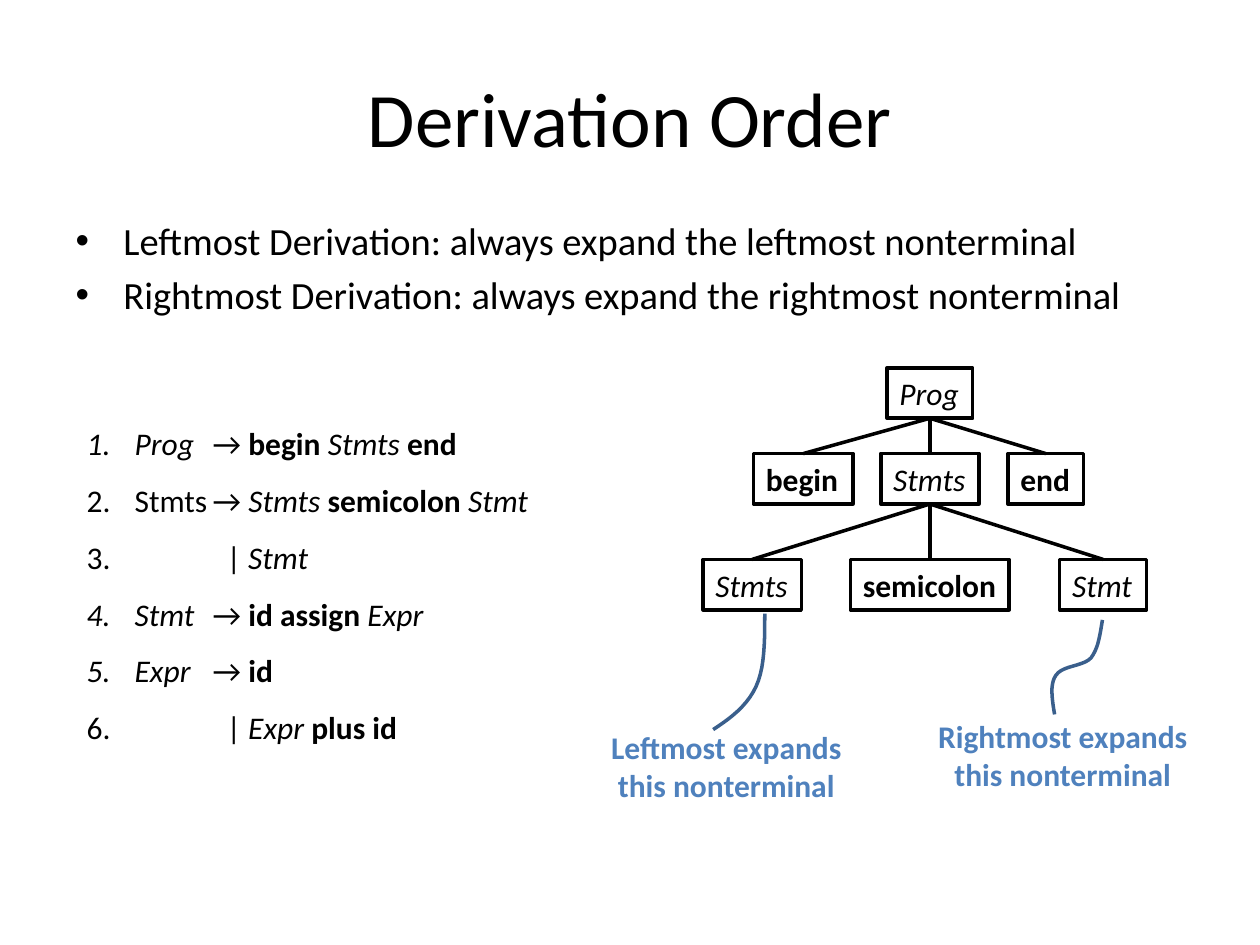
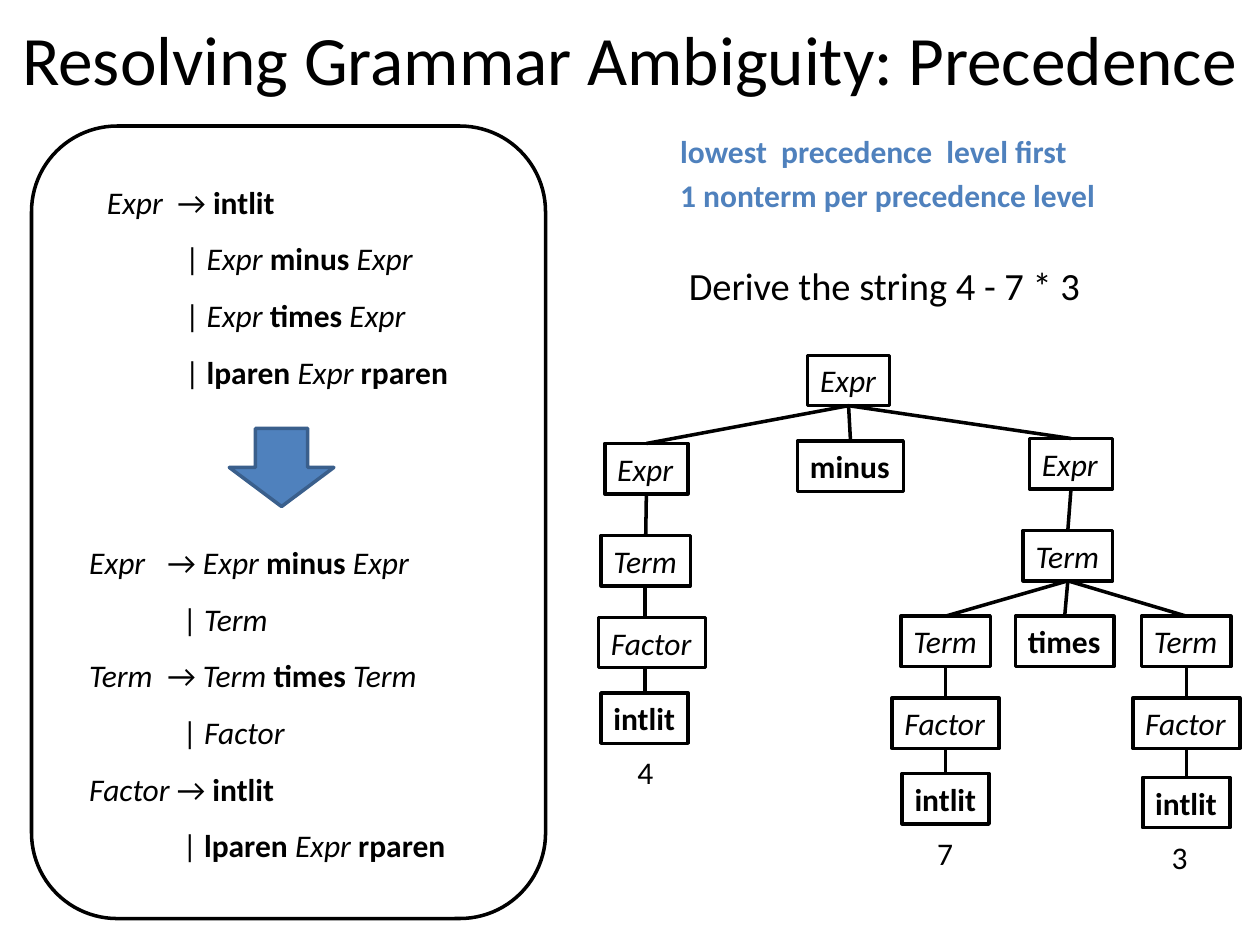
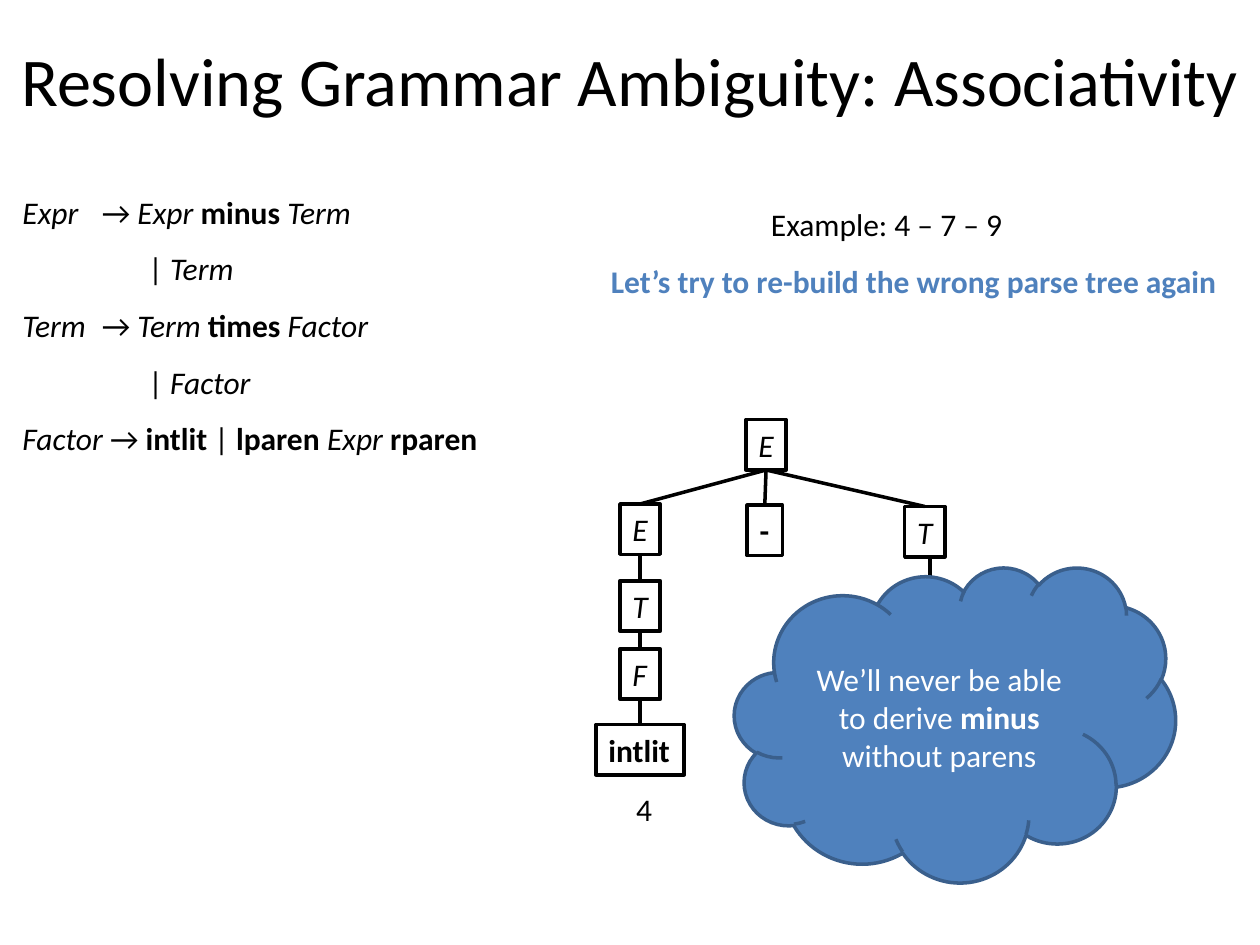
from lxml.etree import SubElement
from pptx import Presentation
from pptx.dml.color import RGBColor
from pptx.enum.shapes import MSO_CONNECTOR as CONN, MSO_SHAPE as SHAPE
from pptx.enum.text import MSO_ANCHOR as ANCHOR, MSO_AUTO_SIZE as FIT, PP_ALIGN as ALIGN
from pptx.oxml.ns import qn
from pptx.util import Inches, Pt

FONT = "Calibri"
BLACK, WHITE, BLUE, NAVY = "000000", "FFFFFF", "4F81BD", "3A5F8C"
NODE_H = 0.4
LINE_W = 2

ORDER_POINTS = [
    ["Leftmost Derivation: always expand the leftmost nonterminal"],
    ["Rightmost Derivation: always expand the rightmost nonterminal"],
]
ORDER_GRAMMAR = [
    [("Prog", "i"), "\t→ ", ("begin ", "b"), ("Stmts ", "i"), ("end", "b")],
    ["Stmts\t→ ", ("Stmts ", "i"), ("semicolon ", "b"), ("Stmt", "i")],
    ["| ", ("Stmt", "i")],
    [("Stmt", "i"), "\t→ ", ("id assign ", "b"), ("Expr", "i")],
    [("Expr", "i"), "\t→ ", ("id", "b")],
    ["| ", ("Expr ", "i"), ("plus id", "b")],
]
ORDER_NODES = {
    "prog": ("Prog", "i", 7.04, 2.92, 0.68),
    "begin": ("begin", "b", 5.98, 3.6, 0.79),
    "stmts": ("Stmts", "i", 6.99, 3.6, 0.78),
    "end": ("end", "b", 8, 3.6, 0.6),
    "left stmts": ("Stmts", "i", 5.58, 4.44, 0.78),
    "semicolon": ("semicolon", "b", 6.75, 4.44, 1.26),
    "right stmt": ("Stmt", "i", 8.41, 4.44, 0.69),
}
ORDER_EDGES = {"prog": ["begin", "stmts", "end"],
               "stmts": ["left stmts", "semicolon", "right stmt"]}
ORDER_NOTES = [
    ("Leftmost expands", (4.71, 5.73, 2.11, 0.71),
     [(5.66, 5.79), (5.8, 5.7), (5.93, 5.6), (6, 5.45),
      (6.07, 5.3), (6.07, 5.09), (6.07, 4.87)]),
    ("Rightmost expands", (7.31, 5.64, 2.25, 0.71),
     [(8.37, 5.67), (8.35, 5.55), (8.33, 5.43), (8.38, 5.36), (8.43, 5.28),
      (8.6, 5.29), (8.66, 5.22), (8.72, 5.14), (8.73, 5.03), (8.75, 4.92)]),
]

AMBIGUOUS_GRAMMAR = [
    [("Expr", "i"), "\t→ ", ("intlit", "b")],
    ["| ", ("Expr ", "i"), ("minus ", "b"), ("Expr", "i")],
    ["| ", ("Expr ", "i"), ("times ", "b"), ("Expr", "i")],
    ["| ", ("lparen ", "b"), ("Expr ", "i"), ("rparen", "b")],
]
LEVEL_GRAMMAR = [
    [("Expr", "i"), "\t→ ", ("Expr", "i"), (" minus ", "b"), ("Expr", "i")],
    ["| ", ("Term", "i")],
    [("Term", "i"), "\t→ ", ("Term ", "i"), ("times ", "b"), ("Term", "i")],
    ["| ", ("Factor", "i")],
    [("Factor ", "i"), "→ ", ("intlit", "b")],
    ["| ", ("lparen ", "b"), ("Expr ", "i"), ("rparen", "b")],
]
LEVEL_NOTES = [["lowest  precedence  level first"], ["1 nonterm per precedence level"]]
LEVEL_NODES = {
    "root": ("Expr", "i", 6.41, 2.82, 0.65),
    "left expr": ("Expr", "i", 4.8, 3.52, 0.66),
    "minus": ("minus", "b", 6.33, 3.5, 0.84),
    "right expr": ("Expr", "i", 8.17, 3.48, 0.66),
    "term 4": ("Term", "i", 4.77, 4.25, 0.71),
    "factor 4": ("Factor", "i", 4.75, 4.9, 0.85),
    "intlit 4": ("intlit", "b", 4.77, 5.5, 0.69),
    "product": ("Term", "i", 8.12, 4.21, 0.71),
    "term 7": ("Term", "i", 7.15, 4.89, 0.71),
    "times": ("times", "b", 8.06, 4.89, 0.78),
    "term 3": ("Term", "i", 9.06, 4.89, 0.71),
    "factor 7": ("Factor", "i", 7.08, 5.54, 0.85),
    "factor 3": ("Factor", "i", 8.99, 5.54, 0.85),
    "intlit 7": ("intlit", "b", 7.16, 6.14, 0.69),
    "intlit 3": ("intlit", "b", 9.07, 6.17, 0.69),
}
LEVEL_EDGES = {
    "root": ["left expr", "minus", "right expr"],
    "left expr": ["term 4"], "right expr": ["product"],
    "product": ["term 7", "times", "term 3"],
    "term 7": ["factor 7"], "factor 7": ["intlit 7"],
    "term 3": ["factor 3"], "factor 3": ["intlit 3"],
}
LEVEL_STEMS = [(5.12, 4.65, 4.9), (5.12, 5.3, 5.5)]
LEVEL_VALUES = [("4", 4.96, 5.93), ("7", 7.34, 6.57), ("3", 9.2, 6.6)]

ASSOC_GRAMMAR = [
    [("Expr", "i"), "\t→ ", ("Expr", "i"), (" minus ", "b"), ("Term", "i")],
    ["| ", ("Term", "i")],
    [("Term", "i"), "\t→ ", ("Term ", "i"), ("times ", "b"), ("Factor", "i")],
    ["| ", ("Factor", "i")],
    [("Factor ", "i"), "→ ", ("intlit ", "b"), "| ", ("lparen ", "b"),
     ("Expr ", "i"), ("rparen", "b")],
]
ASSOC_NODES = {
    "root": ("E", "i", 5.92, 3.33, 0.32),
    "left e": ("E", "i", 4.92, 4, 0.32),
    "minus": ("-", "b", 5.93, 4.01, 0.28),
    "right t": ("T", "i", 7.18, 4.02, 0.32),
    "left t": ("T", "i", 4.92, 4.61, 0.32),
    "left f": ("F", "i", 4.92, 5.15, 0.32),
    "intlit": ("intlit", "b", 4.73, 5.75, 0.7),
}
ASSOC_EDGES = {"root": ["left e", "minus", "right t"], "left e": ["left t"],
               "left t": ["left f"], "left f": ["intlit"]}
CLOUD_TEXT = [["We’ll never be able to derive ", ("minus", "b")], ["without parens"]]


def rgb(color):
    return RGBColor.from_string(color)


def inches(values):
    return [Inches(v) for v in values]


def write(tf, paras, size=18, color=BLACK, align=ALIGN.LEFT, style=""):
    """Fill a text frame; a run is a string or a (text, style) pair."""
    for n, runs in enumerate(paras):
        p = tf.paragraphs[0] if n == 0 else tf.add_paragraph()
        p.alignment = align
        for run in runs:
            text, mark = (run, style) if isinstance(run, str) else run
            r = p.add_run()
            r.text = text
            r.font.name, r.font.size = FONT, Pt(size)
            r.font.bold, r.font.italic = "b" in mark, "i" in mark
            r.font.color.rgb = rgb(color)


def indent(p, left, hanging=0):
    pPr = p._p.get_or_add_pPr()
    pPr.set("marL", str(Inches(left)))
    pPr.set("indent", str(-Inches(hanging)))
    return pPr


def new_slide(prs, layout, title, top, size, left=0):
    s = prs.slides.add_slide(prs.slide_layouts[layout])
    sp = s.shapes.title
    sp.left, sp.top, sp.width, sp.height = inches((left, top, 10 - 2 * left, 1.25))
    sp.text_frame.vertical_anchor = ANCHOR.MIDDLE
    write(sp.text_frame, [[title]], size, align=ALIGN.CENTER)
    return s


def add_text(s, box, paras, wrap=False, **style):
    tf = s.shapes.add_textbox(*inches(box)).text_frame
    tf.word_wrap = wrap
    write(tf, paras, **style)
    return tf


def add_grammar(s, box, rows, bar, arrow=None):
    """List productions with arrows at a hanging indent, or numbered without one."""
    tf = add_text(s, box, rows, wrap=True)
    for p, runs in zip(tf.paragraphs, rows):
        p.line_spacing = 1.5
        is_bar = runs[0] == "| "
        left = bar if is_bar else arrow or 0.38
        pPr = indent(p, left, 0 if is_bar and arrow else left)
        if not arrow:
            SubElement(pPr, qn("a:buAutoNum"), type="arabicPeriod")
        elif not is_bar:
            tabs = SubElement(pPr, qn("a:tabLst"))
            SubElement(tabs, qn("a:tab"), pos=str(Inches(arrow)), algn="l")


def paint(sp, fill, line):
    sp.shadow.inherit = False
    if fill:
        sp.fill.solid()
        sp.fill.fore_color.rgb = rgb(fill)
    else:
        sp.fill.background()
    sp.line.color.rgb = rgb(line)
    sp.line.width = Pt(LINE_W)


def add_shape(s, kind, box, fill=WHITE, line=BLACK):
    sp = s.shapes.add_shape(kind, *inches(box))
    paint(sp, fill, line)
    return sp


def add_line(s, x1=0, y1=0, x2=0, y2=0):
    c = s.shapes.add_connector(CONN.STRAIGHT, *inches((x1, y1, x2, y2)))
    c.line.color.rgb = rgb(BLACK)
    c.line.width = Pt(LINE_W)
    SubElement(c._element.spPr, qn("a:effectLst"))
    return c


def add_tree(s, nodes, edges):
    """Draw the boxes of a parse tree and join parents to children."""
    boxes = {}
    for key, (text, style, left, top, width) in nodes.items():
        sp = boxes[key] = add_shape(s, SHAPE.RECTANGLE, (left, top, width, NODE_H))
        tf = sp.text_frame
        tf.word_wrap, tf.auto_size = False, FIT.SHAPE_TO_FIT_TEXT
        tf.vertical_anchor = ANCHOR.TOP
        write(tf, [[text]], style=style)
    for parent, children in edges.items():
        for child in children:
            c = add_line(s)
            c.begin_connect(boxes[parent], 2)
            c.end_connect(boxes[child], 0)


def add_curve(s, points, steps=10):
    """Trace a chain of cubic Bezier segments as an open outline."""
    trace = []
    for n in range(0, len(points) - 1, 3):
        for k in range(1, steps + 1):
            t = k / steps
            weights = ((1 - t) ** 3, 3 * t * (1 - t) ** 2, 3 * t * t * (1 - t), t ** 3)
            trace.append([Inches(sum(w * pt[axis] for w, pt in zip(weights, points[n:n + 4])))
                          for axis in (0, 1)])
    builder = s.shapes.build_freeform(*inches(points[0]))
    builder.add_line_segments(trace, close=False)
    paint(builder.convert_to_shape(), None, NAVY)


def derivation_order(prs):
    s = new_slide(prs, 1, "Derivation Order", 0.3, 44, left=0.5)
    body = s.placeholders[1]
    body.left, body.top, body.width, body.height = inches((0.5, 1.67, 9, 5.75))
    write(body.text_frame, ORDER_POINTS, 22)
    for p in body.text_frame.paragraphs:
        SubElement(indent(p, 0.38, 0.38), qn("a:buChar"), char="•")
    add_grammar(s, (0.59, 3.17, 4, 2.83), ORDER_GRAMMAR, 1.11)
    add_tree(s, ORDER_NODES, ORDER_EDGES)
    for head, box, points in ORDER_NOTES:
        add_text(s, box, [[head], ["this nonterminal"]], color=BLUE,
                 align=ALIGN.CENTER, style="b")
        add_curve(s, points)


def precedence(prs):
    s = new_slide(prs, 5, "Resolving Grammar Ambiguity: Precedence", -0.17, 39.6)
    add_shape(s, SHAPE.ROUNDED_RECTANGLE, (0.25, 1, 4.08, 6.29))
    add_grammar(s, (0.75, 1.25, 3.25, 1.92), AMBIGUOUS_GRAMMAR, 0.62, 0.56)
    add_grammar(s, (0.61, 4.11, 3.25, 2.83), LEVEL_GRAMMAR, 0.74, 0.62)
    add_shape(s, SHAPE.DOWN_ARROW, (1.82, 3.4, 0.83, 0.62), BLUE, NAVY)
    tf = add_text(s, (5.3, 1, 3.54, 0.88), LEVEL_NOTES, wrap=True, color=BLUE, style="b")
    tf.paragraphs[1].space_before = Pt(3.6)
    add_text(s, (5.35, 2.03, 3.34, 0.47), [["Derive the string 4 - 7 * 3"]],
             size=22, align=ALIGN.CENTER)
    add_tree(s, LEVEL_NODES, LEVEL_EDGES)
    for x, top, bottom in LEVEL_STEMS:
        add_line(s, x, top, x, bottom)
    for value, left, top in LEVEL_VALUES:
        add_text(s, (left, top, 0.33, NODE_H), [[value]])


def associativity(prs):
    s = new_slide(prs, 5, "Resolving Grammar Ambiguity: Associativity", 0, 39)
    add_grammar(s, (0.08, 1.33, 6, 2.33), ASSOC_GRAMMAR, 1, 0.63)
    add_text(s, (6.02, 1.58, 2.06, 0.4), [["Example: 4 – 7 – 9"]])
    add_text(s, (4.75, 2.03, 5.05, 0.4),
             [["Let’s try to re-build the wrong parse tree again"]], color=BLUE, style="b")
    add_tree(s, ASSOC_NODES, ASSOC_EDGES)
    add_line(s, 7.38, 4.44, 7.38, 4.57)
    add_text(s, (4.95, 6.22, 0.33, NODE_H), [["4"]])
    cloud = add_shape(s, SHAPE.CLOUD, (5.83, 4.5, 3.5, 2.5), BLUE, NAVY)
    cloud.text_frame.word_wrap = True
    cloud.text_frame.vertical_anchor = ANCHOR.MIDDLE
    write(cloud.text_frame, CLOUD_TEXT, color=WHITE, align=ALIGN.CENTER)


def main():
    prs = Presentation()
    prs.slide_width, prs.slide_height = Inches(10), Inches(7.5)
    for build in (derivation_order, precedence, associativity):
        build(prs)
    prs.save("out.pptx")


if __name__ == "__main__":
    main()
